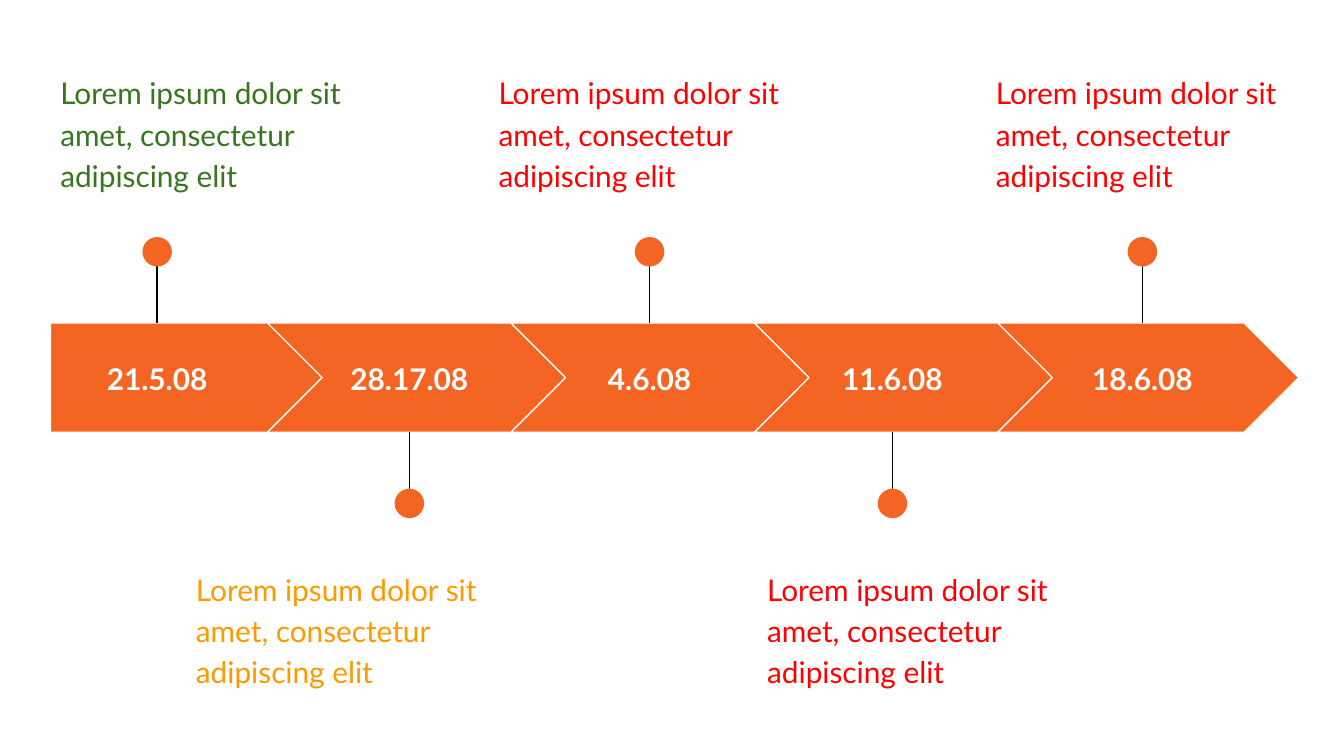
import pptx
import pptx.util
import pptx.dml.color
import pptx.enum.shapes
import pptx.enum.text
import lxml.etree

Pt = pptx.util.Pt
SHAPE = pptx.enum.shapes.MSO_SHAPE
ANCHOR = pptx.enum.text.MSO_ANCHOR
ALIGN = pptx.enum.text.PP_ALIGN

COLORS = {
    "orange": "F46524",
    "white": "FFFFFF",
    "black": "000000",
    "green": "38761D",
    "amber": "FF9900",
    "red": "FF0000",
}
CAPTION = "Lorem ipsum dolor sit amet, consectetur adipiscing elit"
BAND_TOP, BAND_HEIGHT = 173, 58.6
STEP_LEFT, STEP_WIDTH, STEP_PITCH = 143.3, 161.3, 130.4
DOT, STEM = 15.8, 46
MILESTONES = [
    ("21.5.08", 84.2, 25.2, "green"),
    ("28.17.08", 219.3, 97.9, "amber"),
    ("4.6.08", 348, 260, "red"),
    ("11.6.08", 478.1, 403.9, "red"),
    ("18.6.08", 612, 526.4, "red"),
]


def rgb(name):
    return pptx.dml.color.RGBColor.from_string(COLORS[name])


def write(tf, text, color, size=16, font="Lato", bold=False, align=ALIGN.LEFT,
          anchor=ANCHOR.TOP, spacing=1.0, after=0):
    tf.word_wrap = True
    tf.vertical_anchor = anchor
    tf.margin_left = tf.margin_right = tf.margin_top = tf.margin_bottom = Pt(7.2)
    p = tf.paragraphs[0]
    p.alignment = align
    p.line_spacing = spacing
    p.space_after = Pt(after)
    r = p.add_run()
    r.text = text
    r.font.name = font
    r.font.size = Pt(size)
    r.font.bold = bold
    r.font.color.rgb = rgb(color)


class Timeline:
    fill = "orange"
    edge = "white"
    stem = "black"
    line_width = 0.75

    def __init__(self, s):
        self.s = s

    def shape(self, shapes, kind, x, y, w, h, edge=None):
        sp = shapes.add_shape(kind, Pt(x), Pt(y), Pt(w), Pt(h))
        sp.shadow.inherit = False
        sp.fill.solid()
        sp.fill.fore_color.rgb = rgb(self.fill)
        if edge:
            sp.line.color.rgb = rgb(edge)
            sp.line.width = Pt(self.line_width)
        else:
            sp.line.fill.background()
        return sp

    def step(self, i):
        if i == 0:
            kind, x, w = SHAPE.PENTAGON, 27, 147.4
        else:
            kind, x, w = SHAPE.CHEVRON, STEP_LEFT + (i - 1) * STEP_PITCH, STEP_WIDTH
        sp = self.shape(self.s.shapes, kind, x, BAND_TOP, w, BAND_HEIGHT, self.edge)
        sp.adjustments[0] = 0.5

    def line(self, shapes, x, y1, y2):
        c = shapes.add_connector(pptx.enum.shapes.MSO_CONNECTOR.STRAIGHT,
                                 Pt(x), Pt(y1), Pt(x), Pt(y2))
        c.line.color.rgb = rgb(self.stem)
        c.line.width = Pt(self.line_width)
        lxml.etree.SubElement(c._element.spPr, pptx.oxml.ns.qn("a:effectLst"))

    def pin(self, x, above):
        shapes = self.s.shapes.add_group_shape().shapes
        if above:
            start, end, dot_y = BAND_TOP, BAND_TOP - 43, BAND_TOP - STEM
        else:
            start = BAND_TOP + BAND_HEIGHT
            end, dot_y = start + 43, start + STEM
        dot_top = dot_y if above else dot_y - DOT
        self.line(shapes, x, end, start)
        self.shape(shapes, SHAPE.OVAL, x - DOT / 2, dot_top, DOT, DOT)

    def text(self, text, x, y, w, h, **style):
        sp = self.s.shapes.add_textbox(Pt(x), Pt(y), Pt(w), Pt(h))
        write(sp.text_frame, text, **style)


def main():
    prs = pptx.Presentation()
    prs.slide_width, prs.slide_height = Pt(720), Pt(405)
    timeline = Timeline(prs.slides.add_slide(prs.slide_layouts[6]))
    for i, (date, x, caption_left, color) in enumerate(MILESTONES):
        above = i % 2 == 0
        date_width = 104 if i else 114.4
        timeline.step(i)
        timeline.text(date, x - date_width / 2, 184.2, date_width, 36.7, color="white",
                      bold=True, align=ALIGN.CENTER, anchor=ANCHOR.MIDDLE)
        timeline.pin(x, above)
        timeline.text(CAPTION, caption_left, 30.2 if above else 296, 176.4, 71.3,
                      color=color, spacing=1.15, after=16)
    prs.save("out.pptx")


if __name__ == "__main__":
    main()
